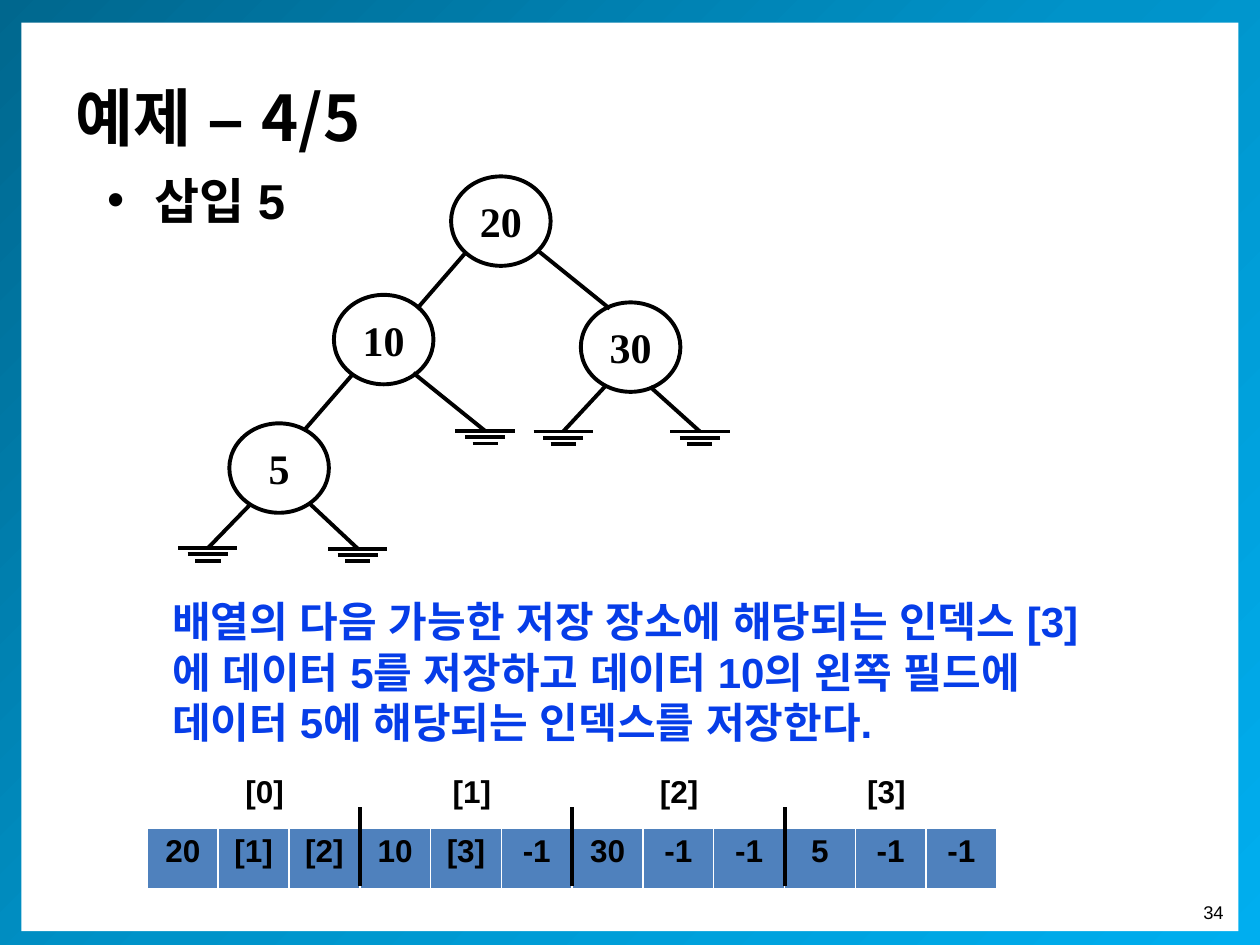
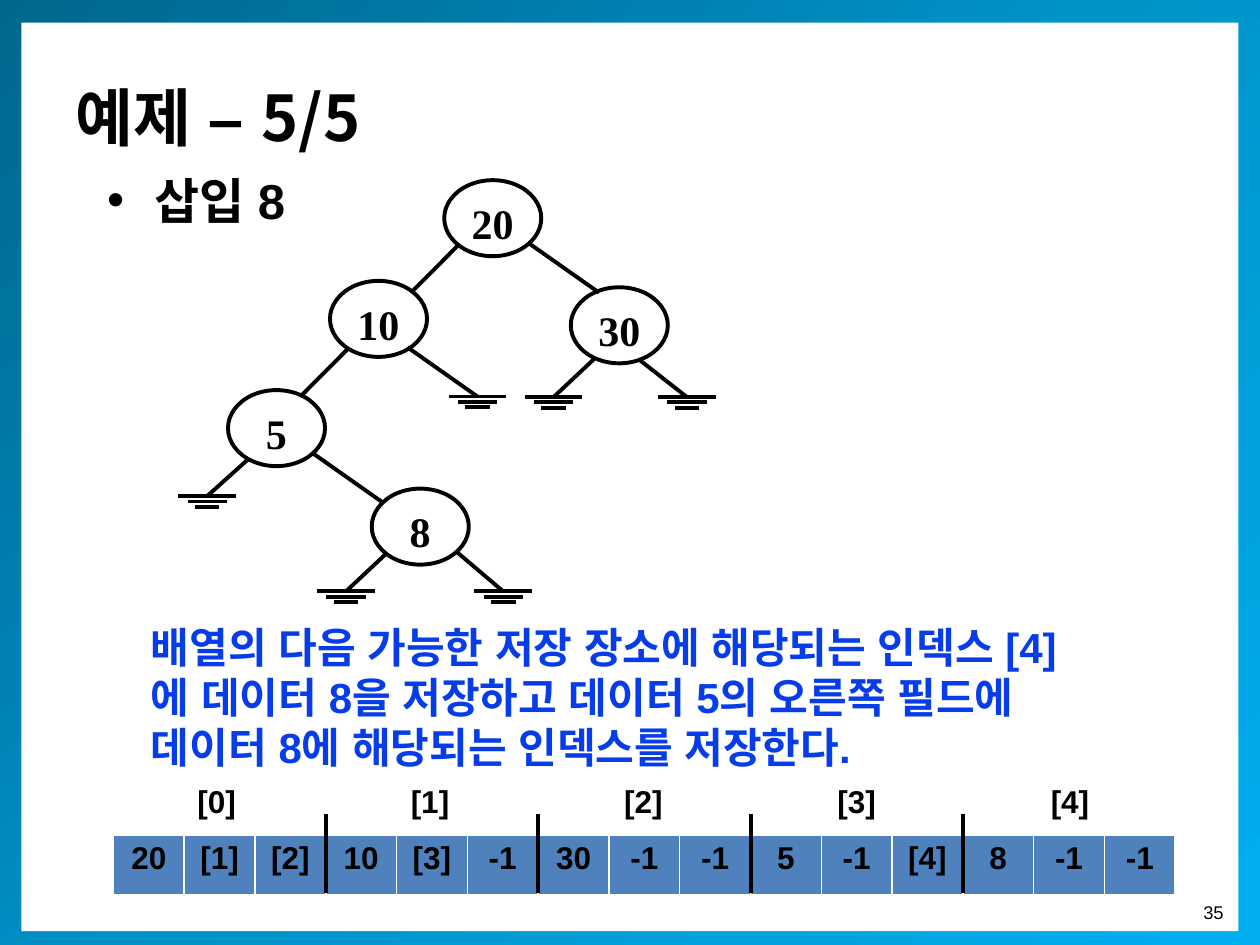
"""Build two slides that insert nodes into an array-backed binary search tree."""
import copy

import pptx
import pptx.dml.color
import pptx.enum.shapes
import pptx.enum.text
import pptx.oxml
import pptx.oxml.ns
import pptx.util

COLORS = {"ink": "000000", "paper": "FFFFFF", "cell": "4F81BD", "note": "063DE8",
          "frame": ["00678E", "0093C9", "00AEEF"]}
ALIGN = pptx.enum.text.PP_ALIGN
ANCHOR = pptx.enum.text.MSO_ANCHOR
DRAWING = pptx.oxml.ns.nsdecls("a")
STYLES = {
    "title": {"name": "Noto Sans CJK KR", "size": 36, "bold": True, "color": "ink", "align": ALIGN.LEFT},
    "topic": {"name": "Arial", "size": 28, "bold": True, "color": "ink", "align": ALIGN.LEFT},
    "note": {"name": "Arial", "size": 24, "bold": True, "color": "note", "align": ALIGN.LEFT},
    "node": {"name": "Times New Roman", "size": 24, "bold": True, "color": "ink", "align": ALIGN.CENTER},
    "cell": {"name": "Arial", "size": 18, "bold": True, "color": "ink", "align": ALIGN.CENTER},
    "index": {"name": "Arial", "size": 18, "bold": True, "color": "ink", "align": ALIGN.LEFT},
    "page": {"name": "Arial", "size": 10.5, "bold": False, "color": "ink", "align": ALIGN.RIGHT},
}
FRAMES = {
    "title": {"vertical_anchor": ANCHOR.MIDDLE, "word_wrap": True},
    "topic": {"vertical_anchor": ANCHOR.TOP, "word_wrap": True},
    "note": {"vertical_anchor": ANCHOR.TOP, "word_wrap": True},
    "node": {"vertical_anchor": ANCHOR.TOP, "word_wrap": False},
    "cell": {"vertical_anchor": ANCHOR.TOP},
    "index": {"vertical_anchor": ANCHOR.TOP},
    "page": {"vertical_anchor": ANCHOR.TOP, "word_wrap": False},
}

LIMBS = {
    "20": [(1.2, 6, -2.7, 10.5, False), (6.9, 5.9, 12.6, 10.5, False)],
    "10": [(1.5, 6.3, -2.4, 10.8, False), (6.3, 6.2, 12, 10.8, True)],
    "30": [(1.9, 6.7, -1.4, 10.25, True), (5.5, 6.7, 9.45, 10.25, True)],
    "5": [(1.6, 6.5, -1.7, 9.9, True), (6.3, 6.3, 10.2, 9.95, True)],
}
LIMBS_WITH_8 = {**LIMBS, "5": [LIMBS["5"][0], LIMBS["20"][1]],
                "8": [(1.15, 6.1, -2.1, 9.6, True), (6.9, 5.9, 10.7, 9.6, True)]}
NODES = {"20": (35.8, 14), "10": (26.5, 23.4), "30": (46.1, 24), "5": (18.2, 33.6), "8": (29.9, 42.8)}
NULL_BARS = [(2.35, 0), (1.6, 0.5), (1, 1)]

STEPS = [
    {"title": "예제 – 4/5", "topic": "삽입 5", "page": "34", "limbs": LIMBS,
     "note": "배열의 다음 가능한 저장 장소에 해당되는 인덱스 [3]에 데이터 5를 저장하고 "
             "데이터 10의 왼쪽 필드에 데이터 5에 해당되는 인덱스를 저장한다.",
     "note_at": (8.3, 46.8), "scale": (1, 1), "tree_top": 14,
     "array": "20 [1] [2] 10 [3] -1 30 -1 -1 5 -1 -1".split(),
     "array_at": (11.7, 65.7), "array_height": 4.86,
     "index_area": (11.7, 61, 66.6, 4.1), "index_tabs": (8.3, 16.45)},
    {"title": "예제 – 5/5", "topic": "삽입 8", "page": "35", "limbs": LIMBS_WITH_8,
     "note": "배열의 다음 가능한 저장 장소에 해당되는 인덱스 [4]에 데이터 8을 저장하고 "
             "데이터 5의 오른쪽 필드에 데이터 8에 해당되는 인덱스를 저장한다.",
     "note_at": (6.6, 48.8), "scale": (0.975, 0.85), "tree_top": 14.3,
     "array": "20 [1] [2] 10 [3] -1 30 -1 -1 5 -1 [4] 8 -1 -1".split(),
     "array_at": (9, 66.24), "array_height": 4.76,
     "index_area": (9, 61.8, 84.3, 4.5), "index_tabs": (7.2, 16.93)},
]
CELL_WIDTH = 5.62
FIELDS = 3
TREE_LEFT = 14.2

deck = pptx.Presentation()
deck.slide_width, deck.slide_height = pptx.util.Inches(10), pptx.util.Inches(7.5)
COL, ROW = deck.slide_width / 100, deck.slide_height / 75
layout = deck.slide_layouts[1]


def grid(*lengths):
    """Turn alternating column and row counts into slide lengths."""
    return [round(n * (ROW if i % 2 else COL)) for i, n in enumerate(lengths)]


def write(frame, text, kind):
    """Put one styled paragraph into a text frame or cell."""
    style = STYLES[kind]
    for name, value in FRAMES[kind].items():
        setattr(frame, name, value)
    paragraph = getattr(frame, "text_frame", frame).paragraphs[0]
    paragraph.alignment, paragraph.space_before = style["align"], pptx.util.Pt(0)
    run = paragraph.add_run()
    run.text = text
    for name in ("name", "bold"):
        setattr(run.font, name, style[name])
    run.font.size = pptx.util.Pt(style["size"])
    run.font.color.rgb = pptx.dml.color.RGBColor.from_string(COLORS[style["color"]])
    run._r.get_or_add_rPr().append(pptx.oxml.parse_xml(f'<a:ea {DRAWING} typeface="Arial"/>'))
    return paragraph


for number, step in enumerate(STEPS):
    slide = deck.slides.add_slide(layout)
    shapes = slide.shapes

    if number == 0:
        border = shapes.add_shape(pptx.enum.shapes.MSO_SHAPE.RECTANGLE, *grid(0, -0.4, 100, 75.9))
        border.fill.gradient()
        border.fill.gradient_angle = 315
        stops = border.element.spPr.find(".//" + pptx.oxml.ns.qn("a:gsLst"))
        stops.insert(1, copy.deepcopy(stops[0]))
        for i, stop in enumerate(border.fill.gradient_stops):
            stop.position = i / 2
            stop.color.rgb = pptx.dml.color.RGBColor.from_string(COLORS["frame"][i])
        page_area = shapes.add_shape(pptx.enum.shapes.MSO_SHAPE.RECTANGLE, *grid(1.7, 1.8, 96.6, 72.1))
        page_area.fill.solid()
        page_area.fill.fore_color.rgb = pptx.dml.color.RGBColor.from_string(COLORS["paper"])
        for depth, backdrop in enumerate((border, page_area)):
            backdrop.line.fill.background()
            backdrop.shadow.inherit = False
            layout.shapes.element.insert(2 + depth, backdrop.element)

    for kind, part, area in (("title", shapes.title, (5, 3, 90, 12.5)),
                             ("topic", slide.placeholders[1], (7.5, 13, 83.5, 8.3))):
        part.left, part.top, part.width, part.height = grid(*area)
        part.text_frame.auto_size = pptx.enum.text.MSO_AUTO_SIZE.NONE
        write(part.text_frame, step[kind], kind)

    for kind, area in (("page", (94.2, 71, 3.9, 2.8)), ("note", (*step["note_at"], 80.3, 15.1))):
        paragraph = write(shapes.add_textbox(*grid(*area)).text_frame, step[kind], kind)
        if kind == "note":
            paragraph._p.get_or_add_pPr().set("marL", str(grid(4.4)[0]))

    left, top = step["array_at"]
    records = len(step["array"]) // FIELDS
    array_area = (left, top, CELL_WIDTH * len(step["array"]), step["array_height"])
    array = shapes.add_table(1, len(step["array"]), *grid(*array_area)).table
    for cell, value in zip(array.iter_cells(), step["array"]):
        write(cell, value, "cell")
        cell.fill.solid()
        cell.fill.fore_color.rgb = pptx.dml.color.RGBColor.from_string(COLORS["cell"])

    index_cell = shapes.add_table(1, 1, *grid(*step["index_area"])).table.cell(0, 0)
    index_cell.fill.background()
    indexes = write(index_cell, "".join(f"\t[{i}]" for i in range(records)), "index")
    first, gap = step["index_tabs"]
    tabs = "".join(f'<a:tab pos="{grid(first + i * gap)[0]}" algn="ctr"/>' for i in range(records))
    indexes._p.get_or_add_pPr().append(pptx.oxml.parse_xml(f"<a:tabLst {DRAWING}>{tabs}</a:tabLst>"))

    strokes = []
    for i in range(1, records):
        divider = left + i * FIELDS * CELL_WIDTH
        strokes.append((divider, top + 4.65, divider, top - 1.65))

    across, down = step["scale"]
    for key, limbs in step["limbs"].items():
        x = TREE_LEFT + (NODES[key][0] - TREE_LEFT) * across
        y = step["tree_top"] + (NODES[key][1] - NODES["20"][1]) * down
        node = shapes.add_shape(pptx.enum.shapes.MSO_SHAPE.OVAL, *grid(x, y, 7.9 * across, 7.1 * down))
        node.shadow.inherit = False
        node.fill.background()
        node.line.width = pptx.util.Pt(2.25)
        node.line.color.rgb = pptx.dml.color.RGBColor.from_string(COLORS["ink"])
        write(node.text_frame, key, "node")
        for x1, y1, x2, y2, is_null in limbs:
            end_x, end_y = x + x2 * across, y + y2 * down
            strokes.append((x + x1 * across, y + y1 * down, end_x, end_y))
            for half, drop in NULL_BARS if is_null else ():
                bar_y = end_y + drop * down
                strokes.append((end_x - half * across, bar_y, end_x + half * across, bar_y))

    for stroke in strokes:
        link = shapes.add_connector(pptx.enum.shapes.MSO_CONNECTOR.STRAIGHT, *grid(*stroke))
        link.line.width = pptx.util.Pt(2.25)
        link.line.color.rgb = pptx.dml.color.RGBColor.from_string(COLORS["ink"])
        link.element.spPr.append(pptx.oxml.parse_xml(f"<a:effectLst {DRAWING}/>"))

deck.save("out.pptx")
